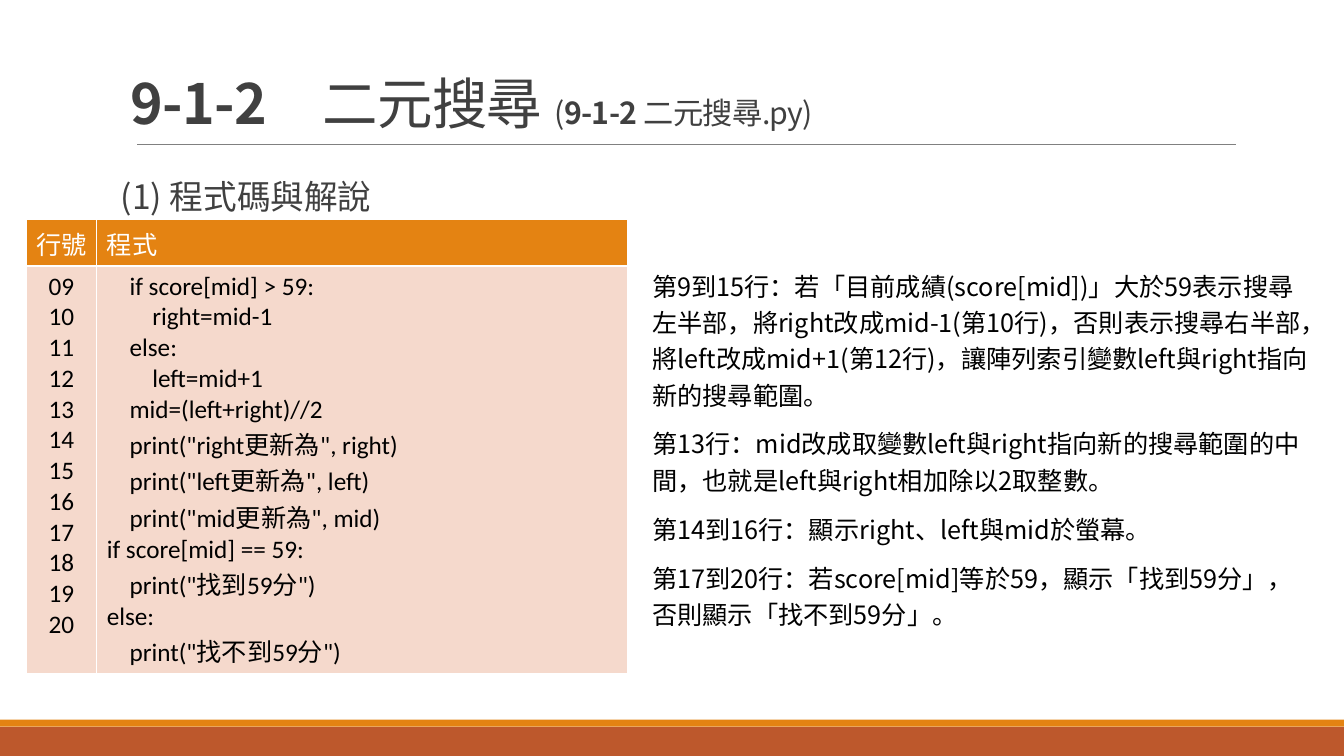
from lxml import etree
from pptx import Presentation
from pptx.dml.color import RGBColor
from pptx.enum.shapes import MSO_CONNECTOR, MSO_SHAPE
from pptx.enum.text import MSO_ANCHOR, PP_ALIGN
from pptx.oxml.ns import qn
from pptx.util import Inches, Pt

WHITE = RGBColor(0xFF, 0xFF, 0xFF)
BLACK = RGBColor(0x00, 0x00, 0x00)
DARK = RGBColor(0x40, 0x40, 0x40)
GRAY = RGBColor(0x80, 0x80, 0x80)
ORANGE = RGBColor(0xE4, 0x83, 0x12)
RUST = RGBColor(0xBD, 0x58, 0x2C)
PINK = RGBColor(0xF5, 0xD9, 0xCC)
CJK = "Noto Sans CJK SC"
LATIN = "Calibri"

TITLE = [("9-1-2　", 39.6, True), ("二元搜尋 ", 39.6, False), ("(", 21.6, False),
         ("9-1-2 ", 21.6, True), ("二元搜尋.py)", 21.6, False)]
CODE = '''    if score[mid] > 59:
        right=mid-1
    else:
        left=mid+1
    mid=(left+right)//2
    print("right更新為", right)
    print("left更新為", left)
    print("mid更新為", mid)
if score[mid] == 59:
    print("找到59分")
else:
    print("找不到59分")'''.split("\n")
FIRST_LINE = 9
NOTES = [
    "第9到15行：若「目前成績(score[mid])」大於59表示搜尋左半部，將right改成mid-1(第10行)，"
    "否則表示搜尋右半部，將left改成mid+1(第12行)，讓陣列索引變數left與right指向新的搜尋範圍。",
    "第13行：mid改成取變數left與right指向新的搜尋範圍的中間，也就是left與right相加除以2取整數。",
    "第14到16行：顯示right、left與mid於螢幕。",
    "第17到20行：若score[mid]等於59，顯示「找到59分」，否則顯示「找不到59分」。",
]


def add_run(p, text, size, color, name=CJK, bold=False):
    r = p.add_run()
    r.text = text
    r.font.color.rgb = color
    for key, value in {"size": Pt(size), "name": name, "bold": bold}.items():
        setattr(r.font, key, value)
    etree.SubElement(r.font._element, qn("a:ea"), typeface=CJK)
    return r


def add_paragraphs(tf, paragraphs, line_spacing=1.0, before=0, after=0, align=PP_ALIGN.LEFT):
    """Fill a text frame; each paragraph is a list of add_run arguments."""
    for i, runs in enumerate(paragraphs):
        p = tf.add_paragraph() if i else tf.paragraphs[0]
        layout = {"line_spacing": line_spacing, "space_before": Pt(before if i else 0),
                  "space_after": Pt(after), "alignment": align}
        for key, value in layout.items():
            setattr(p, key, value)
        for run in runs:
            add_run(p, *run)


def add_text(s, box, paragraphs, line_spacing, anchor=MSO_ANCHOR.TOP, side=0.1):
    tf = s.shapes.add_textbox(*map(Inches, box)).text_frame
    tf.word_wrap = True
    tf.vertical_anchor = anchor
    tf.margin_left = tf.margin_right = Inches(side)
    add_paragraphs(tf, paragraphs, line_spacing, 6, 3)
    return tf


def add_footer(s, left, top, width, height):
    stripe = 0.07
    for color, y, h in ((RUST, top + stripe, height - stripe), (ORANGE, top, stripe)):
        sp = s.shapes.add_shape(MSO_SHAPE.RECTANGLE, *map(Inches, (left, y, width, h)))
        sp.shadow.inherit = False
        sp.fill.solid()
        sp.fill.fore_color.rgb = color
        sp.line.fill.background()


def add_title(s, left, top, width, height):
    """Title with the thin rule below it."""
    rule_y = top + height + 0.04
    rule = s.shapes.add_connector(MSO_CONNECTOR.STRAIGHT, *map(
        Inches, (left + 0.16, rule_y, left + width + 0.06, rule_y)))
    rule.line.color.rgb = GRAY
    rule.line.width = Pt(0.5)
    etree.SubElement(rule._element.spPr, qn("a:effectLst"))
    runs = [(text, size, DARK, CJK, bold) for text, size, bold in TITLE]
    tf = add_text(s, (left, top, width, height), [runs], 1.5, MSO_ANCHOR.BOTTOM)
    for r in tf.paragraphs[0].runs:
        r.font._element.set("spc", "-50")


def style_cell(cell, color):
    tc_pr = cell._tc.get_or_add_tcPr()
    for side in ("lnL", "lnR", "lnT", "lnB"):
        ln = etree.SubElement(tc_pr, qn(f"a:{side}"), w=str(Pt(1)))
        fill = etree.SubElement(ln, qn("a:solidFill"))
        etree.SubElement(fill, qn("a:srgbClr"), val=str(WHITE))
    cell.fill.solid()
    cell.fill.fore_color.rgb = color


def add_code_table(s, left, top, width, height):
    number_w, header_h = 0.7, 0.46
    table = s.shapes.add_table(2, 2, *map(Inches, (left, top, width, height))).table
    for col, w in zip(table.columns, (number_w, width - number_w)):
        col.width = Inches(w)
    for row, h in zip(table.rows, (header_h, height - header_h)):
        row.height = Inches(h)
    numbers = [f"{FIRST_LINE + i:02d}" for i in range(len(CODE))]
    rows = ((["行號"], ["程式"], WHITE, ORANGE), (numbers, CODE, BLACK, PINK))
    for i, (*columns, color, fill) in enumerate(rows):
        for j, (lines, align) in enumerate(zip(columns, (PP_ALIGN.CENTER, PP_ALIGN.LEFT))):
            cell = table.cell(i, j)
            style_cell(cell, fill)
            add_paragraphs(cell.text_frame, [[(line, 18, color, LATIN)] for line in lines],
                           align=align)


def main():
    prs = Presentation()
    prs.slide_width, prs.slide_height = Inches(13.33), Inches(7.5)
    s = prs.slides.add_slide(prs.slide_layouts[6])
    add_footer(s, 0, 7.14, 13.33, 0.36)
    add_title(s, 1.2, 0.31, 11, 1.08)
    add_text(s, (1.2, 1.5, 11, 5.39), [[("(1) 程式碼與解說", 24, DARK)]], 1.5, side=0)
    add_code_table(s, 0.26, 2.18, 5.96, 4.5)
    add_text(s, (6.37, 2.58, 6.79, 3.75), [[(note, 18, BLACK)] for note in NOTES], 1.2)
    prs.save("out.pptx")


if __name__ == "__main__":
    main()
